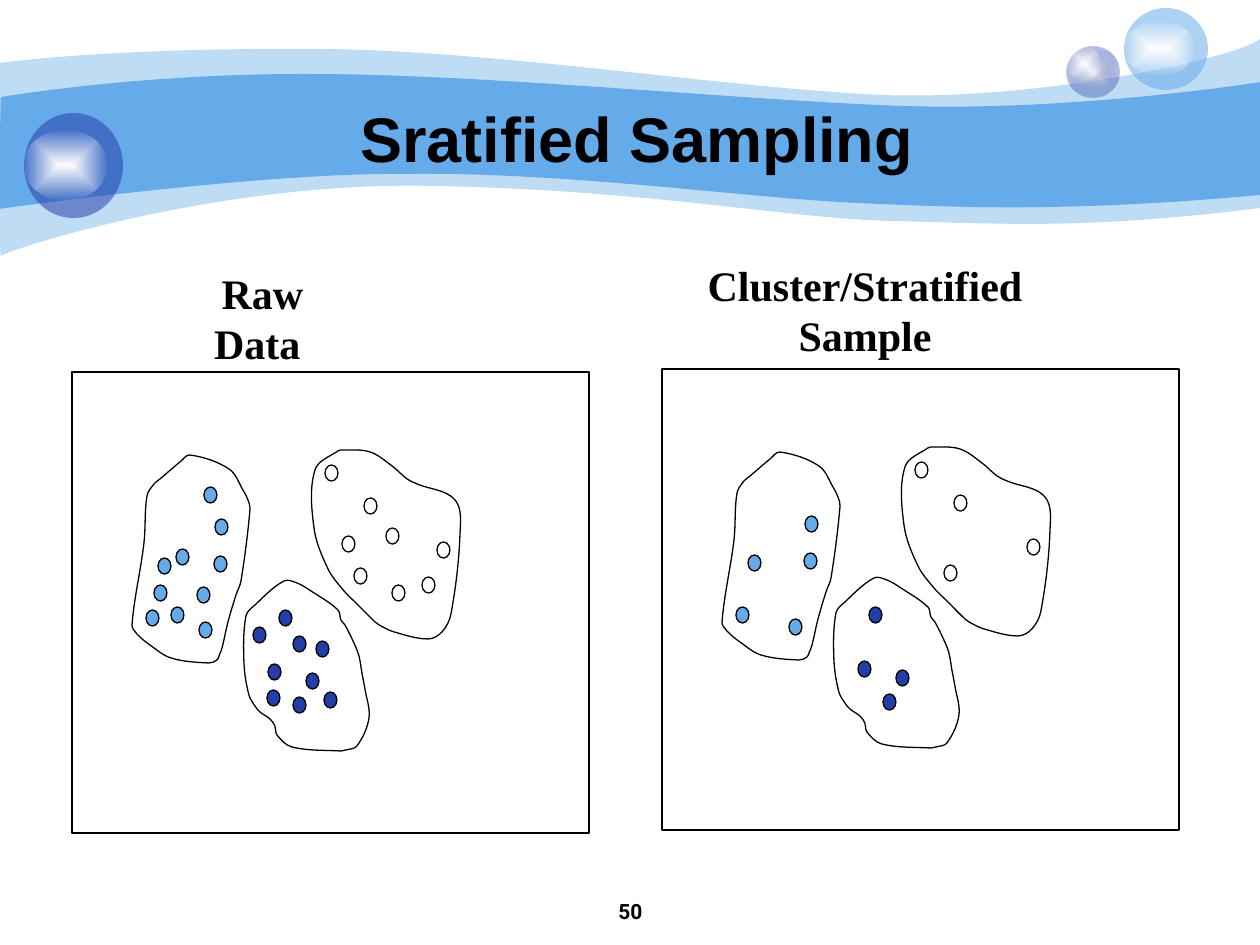
"""Build a slide that contrasts raw data with a stratified sample of it."""
import math
from dataclasses import dataclass

from lxml import etree
from pptx import Presentation
from pptx import util as u
from pptx.dml.color import RGBColor
from pptx.enum import shapes, text
from pptx.oxml.ns import qn

PX = 914400 / 126
SLIDE = (1260, 945)
OVAL = shapes.MSO_SHAPE.OVAL
DOT = shapes.MSO_SHAPE.FLOWCHART_CONNECTOR
RECTANGLE = shapes.MSO_SHAPE.RECTANGLE


@dataclass(frozen=True)
class Theme:
    sky: str = "65AAE9"
    navy: str = "233DA9"
    mist: str = "E1E2ED"
    white: str = "FFFFFF"
    ink: str = "000000"
    outline: float = 0.75
    title: tuple = ("Arial", 36, True)
    heading: tuple = ("Times New Roman", 24, True)
    number: tuple = ("Roboto", 12, True)


THEME = Theme()

WAVES = [
    (41, [(0, 63), (30, 59), (135, 48), (311, 49), (486, 49), (725, 88), (881, 95),
          (1036, 101), (1235, 59), (1260, 39), (1260, 39), (1260, 208), (1260, 208),
          (1079, 231), (992, 223), (888, 221), (784, 218), (649, 190), (432, 186),
          (217, 181), (5, 251), (1, 256), (-1, 262), (0, 95), (0, 63)]),
    (100, [(1, 97), (3, 97), (139, 73), (312, 74), (486, 74), (750, 101), (905, 106),
           (1060, 111), (1230, 87), (1260, 82), (1260, 82), (1260, 195), (1260, 195),
           (1075, 212), (964, 208), (859, 203), (755, 199), (563, 171), (399, 174),
           (256, 173), (-3, 209), (-1, 209), (0, 209), (0, 97), (1, 97)]),
]

GLOW = [(THEME.white, 100), (THEME.white, 0)]
ORBS = [
    ((1067, 47, 53, 51), [(THEME.mist, 100), (THEME.navy, 31)], (1067, 47, 35, 34)),
    ((1124, 8, 84, 82), [(THEME.sky, 53)], (1124, 21, 71, 54)),
    ((24, 113, 99, 105), [(THEME.navy, 53)], (24, 130, 83, 70)),
]

STRATA = [
    {"color": THEME.white,
     "sampled": [(364, 498), (354, 568), (437, 542), (325, 465)],
     "skipped": [(386, 528), (342, 536), (422, 577), (392, 585)],
     "outline": [(455, 500), (460, 534), (451, 614), (442, 632), (428, 639), (394, 632),
                 (379, 625), (375, 622), (357, 604), (344, 591), (328, 569), (314, 528),
                 (315, 470), (338, 451), (343, 450), (370, 452), (392, 466), (407, 479),
                 (417, 484)]},
    {"color": THEME.navy,
     "sampled": [(293, 697), (306, 673), (268, 664), (279, 610)],
     "skipped": [(253, 627), (316, 641), (267, 690), (293, 636), (324, 692)],
     "outline": [(275, 726), (270, 719), (260, 712), (255, 706), (249, 695), (244, 663),
                 (246, 616), (255, 605), (284, 581), (297, 583), (311, 591), (338, 610),
                 (341, 620), (345, 625), (354, 643), (359, 656), (362, 673), (365, 689),
                 (369, 718), (357, 746), (346, 750), (341, 751), (292, 747), (277, 735)]},
    {"color": THEME.sky,
     "sampled": [(146, 610), (158, 558), (199, 622), (214, 556), (215, 519)],
     "skipped": [(171, 607), (154, 585), (197, 587), (176, 549), (204, 487)],
     "outline": [(236, 595), (228, 622), (222, 648), (219, 656), (217, 660), (209, 663),
                 (171, 658), (150, 645), (137, 634), (132, 625), (144, 543), (147, 496),
                 (154, 484), (160, 479), (174, 467), (180, 462), (190, 455), (229, 469),
                 (243, 490), (248, 500), (250, 509), (241, 581)]},
]
FRAME = (72, 372, 517, 461)
DOT_SIZE = (13, 16)
PANELS = [((0, 0), ("sampled", "skipped")), ((590, -3), ("sampled",))]

LABELS = [
    ("50", (431, 892, 399, 53), THEME.number, text.MSO_ANCHOR.TOP),
    ("Sratified Sampling", (128, 98, 1018, 78), THEME.title, text.MSO_ANCHOR.MIDDLE),
    ("Raw Data ", (192, 261, 141, 113), THEME.heading, text.MSO_ANCHOR.TOP),
    ("Cluster/Stratified Sample", (685, 253, 360, 113), THEME.heading, text.MSO_ANCHOR.TOP),
]


def emu(*lengths):
    return [u.Emu(round(length * PX)) for length in lengths]


def style(shape, stops=(), outlined=False):
    shape.shadow.inherit = False
    if not stops:
        shape.fill.background()
    elif len(stops) == 1:
        shape.fill.solid()
        shape.fill.fore_color.rgb = RGBColor.from_string(stops[0][0])
    else:
        shape.fill.gradient()
        for stop, (color, _) in zip(shape.fill.gradient_stops, stops):
            stop.color.rgb = RGBColor.from_string(color)
        gradient = shape._element.spPr.find(qn("a:gradFill"))
        gradient.remove(gradient.find(qn("a:lin")))
        radial = etree.SubElement(gradient, qn("a:path"), {"path": "shape"})
        etree.SubElement(radial, qn("a:fillToRect"), dict.fromkeys("ltrb", "50000"))
    for node, (_, opacity) in zip(shape._element.spPr.iter(qn("a:srgbClr")), stops):
        if opacity < 100:
            etree.SubElement(node, qn("a:alpha"), {"val": str(opacity * 1000)})
    if outlined:
        shape.line.color.rgb = RGBColor.from_string(THEME.ink)
        shape.line.width = u.Pt(THEME.outline)
    else:
        shape.line.fill.background()


def add_preset(slide, kind, box, stops=(), outlined=False):
    style(slide.shapes.add_shape(kind, *emu(*box)), stops, outlined)


def direction(start, end):
    length = math.dist(start, end)
    return (end[0] - start[0]) / length, (end[1] - start[1]) / length


def smooth_loop(points):
    """Return cubic control points of a closed curve that keeps sharp corners."""
    tangents = []
    for before, point, after in zip(points[-1:] + points, points, points[1:] + points[:1]):
        arriving, leaving = direction(before, point), direction(point, after)
        if sum(a * b for a, b in zip(arriving, leaving)) > 0.5:
            arriving = leaving = direction(before, after)
        tangents.append((arriving, leaving))
    curve = [points[0]]
    for index, start in enumerate(points):
        following = (index + 1) % len(points)
        end = points[following]
        reach = math.dist(start, end) / 3
        curve += [tuple(a + reach * t for a, t in zip(start, tangents[index][1])),
                  tuple(a - reach * t for a, t in zip(end, tangents[following][0])), end]
    return curve


def add_curve(slide, curve, stops=(), outlined=False):
    anchors = curve[3::3]
    builder = slide.shapes.build_freeform(*emu(*curve[0]))
    builder.add_line_segments([emu(*point) for point in anchors], close=True)
    shape = builder.convert_to_shape()
    left, top = emu(*(min(axis) for axis in zip(*anchors)))
    segments = list(shape._element.spPr.iter(qn("a:lnTo")))
    for index, segment in enumerate(segments):
        first, second, end = curve[3 * index + 1:3 * index + 4]
        if second == end:
            continue
        segment.tag = qn("a:cubicBezTo")
        for position, control in enumerate((first, second)):
            x, y = emu(*control)
            node = etree.Element(qn("a:pt"), {"x": str(x - left), "y": str(y - top)})
            segment.insert(position, node)
    style(shape, stops, outlined)


def add_label(slide, words, box, font_style, anchor):
    frame = slide.shapes.add_textbox(*emu(*box)).text_frame
    frame.word_wrap = True
    frame.vertical_anchor = anchor
    paragraph = frame.paragraphs[0]
    paragraph.alignment = text.PP_ALIGN.CENTER
    run = paragraph.add_run()
    run.text = words
    name, size, run.font.bold = font_style
    run.font.name, run.font.size = name, u.Pt(size)
    run.font.color.rgb = RGBColor.from_string(THEME.ink)


def add_panel(slide, offset, groups):
    def shift(point):
        return point[0] + offset[0], point[1] + offset[1]

    add_preset(slide, RECTANGLE, (*shift(FRAME[:2]), *FRAME[2:]), outlined=True)
    for stratum in STRATA:
        for corner in (corner for group in groups for corner in stratum[group]):
            add_preset(slide, DOT, (*shift(corner), *DOT_SIZE),
                       [(stratum["color"], 100)], outlined=True)
        outline = [shift(point) for point in stratum["outline"]]
        add_curve(slide, smooth_loop(outline), outlined=True)


def main():
    presentation = Presentation()
    presentation.slide_width, presentation.slide_height = emu(*SLIDE)
    slide = presentation.slides.add_slide(presentation.slide_layouts[6])
    for opacity, curve in WAVES:
        add_curve(slide, curve, [(THEME.sky, opacity)])
    for ball, stops, highlight in ORBS:
        add_preset(slide, OVAL, ball, stops)
        add_preset(slide, OVAL, highlight, GLOW)
    for panel in PANELS:
        add_panel(slide, *panel)
    for label in LABELS:
        add_label(slide, *label)
    presentation.save("out.pptx")


if __name__ == "__main__":
    main()
